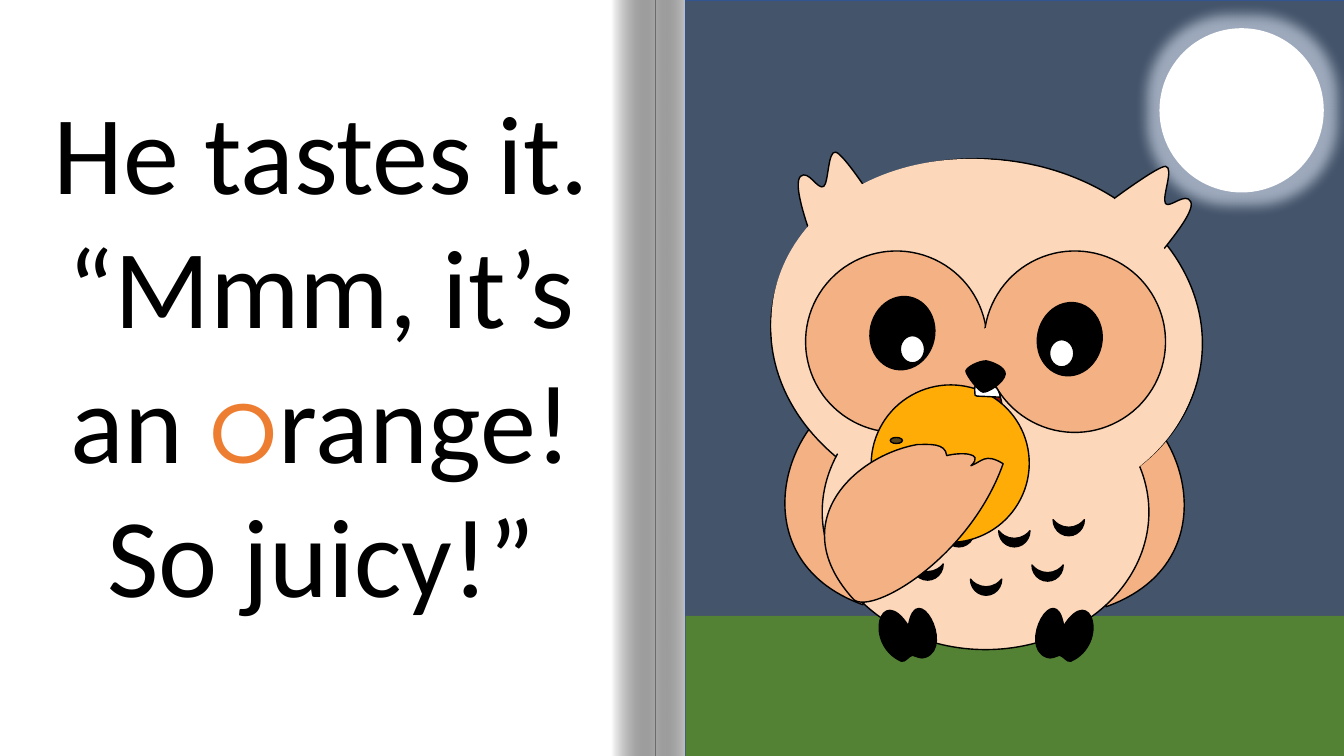
from collections import namedtuple
from dataclasses import dataclass

from lxml.etree import SubElement
from pptx import Presentation
from pptx.dml.color import RGBColor
from pptx.enum.shapes import MSO_SHAPE
from pptx.enum.text import MSO_AUTO_SIZE, PP_ALIGN
from pptx.oxml.ns import qn
from pptx.util import Inches, Pt

Box = namedtuple("Box", "left top width height")


@dataclass(frozen=True)
class Theme:
    paper: str = "FFFFFF"
    ink: str = "000000"
    letter: str = "ED7D31"
    sky: str = "44546A"
    sky_edge: str = "325491"
    glow: str = "DAE3F3"
    grass: str = "548235"
    feather: str = "FCD7BA"
    wing: str = "F4B183"
    mouth: str = "8E1100"
    tongue: str = "DD2E35"
    orange: str = "FFAC06"
    stem: str = "574519"
    story_font: str = "Calibri"
    letter_font: str = "Montserrat"
    story_size: int = 80
    outline: int = 1


THEME = Theme()

# Owl outlines, in inches from the owl's corner: a start point, then
# segments of one point (straight) or three points (curved).
BACK_WING = [(1.56, 5), (1.56, 2.87), (0.78, 3.06, 0.3, 4.55, 1.56, 5)]
FOOT = [(2.18, 5.52), (2.47, 5.41, 2.09, 4.72, 2.01, 5.21),
        (1.73, 4.77, 1.56, 5.39, 1.94, 5.56), (1.98, 5.57, 2.01, 5.51, 2.05, 5.5),
        (2.09, 5.51, 2.13, 5.54, 2.18, 5.52)]
LEFT_EAR = [(1.05, 1.36), (1.01, 1.24, 0.86, 0.83, 0.94, 0.75),
            (1.02, 0.68, 1.11, 0.89, 1.17, 0.85), (1.22, 0.81, 1.21, 0.49, 1.29, 0.51),
            (1.37, 0.53, 1.66, 0.98, 1.66, 0.98)]
RIGHT_EAR = [(4.49, 1.54), (4.57, 1.43, 4.86, 1.1, 4.81, 1),
             (4.76, 0.9, 4.6, 1.07, 4.56, 1.02), (4.52, 0.96, 4.65, 0.66, 4.56, 0.65),
             (4.48, 0.65, 4.05, 0.97, 4.05, 0.97)]
MOUTH = [(2.92, 2.93), (2.92, 2.91, 2.89, 2.86, 2.87, 2.86),
         (2.85, 2.86, 2.81, 2.85, 2.78, 2.85), (2.76, 2.85, 2.73, 2.84, 2.71, 2.84),
         (2.69, 2.84, 2.7, 2.89, 2.7, 2.91), (2.7, 2.93, 2.73, 2.93, 2.73, 2.95),
         (2.74, 2.97, 2.75, 3.01, 2.75, 3.04), (2.75, 3.06, 2.74, 3.09, 2.73, 3.11),
         (2.73, 3.12, 2.72, 3.14, 2.71, 3.14), (2.7, 3.15, 2.67, 3.16, 2.69, 3.17),
         (2.75, 3.19, 2.78, 3.21, 2.81, 3.25), (2.84, 3.26, 2.87, 3.26, 2.89, 3.24),
         (2.91, 3.21, 2.93, 3.16, 2.94, 3.12), (2.94, 3.02, 2.94, 3, 2.92, 2.93)]
TONGUE = [(2.77, 3), (2.76, 3, 2.76, 3, 2.75, 3.01), (2.74, 3.01), (2.74, 3.02),
          (2.74, 3.02, 2.75, 3.03, 2.75, 3.04), (2.75, 3.06, 2.74, 3.09, 2.73, 3.11),
          (2.72, 3.12, 2.72, 3.14, 2.71, 3.14), (2.69, 3.15, 2.66, 3.16, 2.69, 3.17),
          (2.75, 3.19, 2.78, 3.21, 2.8, 3.25), (2.84, 3.26, 2.87, 3.26, 2.89, 3.24),
          (2.91, 3.21, 2.93, 3.16, 2.94, 3.12), (2.94, 3.11, 2.94, 3.09, 2.94, 3.08),
          (2.94, 3.06), (2.93, 3.05), (2.91, 3.02, 2.88, 3.01, 2.83, 3.04),
          (2.81, 3.01, 2.79, 3, 2.77, 3)]
UPPER_LIP = [(2.65, 3.15), (2.65, 3.15, 2.66, 3.16, 2.67, 3.16), (2.68, 3.16),
             (2.67, 3.16), (2.67, 3.15, 2.66, 3.15, 2.66, 3.15), (2.65, 3.15)]
LOWER_LIP = [(2.7, 3.21), (2.69, 3.21, 2.71, 3.23, 2.74, 3.24), (2.76, 3.25),
             (2.74, 3.24), (2.73, 3.23, 2.72, 3.22, 2.71, 3.22), (2.7, 3.21)]
FRONT_WING = [(1.47, 4.95), (0.77, 4.19, 1.47, 3.52, 2.1, 3.41),
              (2.21, 3.41, 2.38, 3.39, 2.39, 3.52), (2.5, 3.49, 2.78, 3.48, 2.63, 3.62),
              (2.74, 3.58, 2.77, 3.49, 2.95, 3.6), (2.62, 4.53, 1.66, 5.1, 1.47, 4.95)]
TEETH = [(2.68, 2.83), (2.66, 2.83, 2.67, 2.89, 2.67, 2.91), (2.67, 2.92),
         (2.69, 2.93), (2.91, 2.94), (2.92, 2.94), (2.92, 2.93),
         (2.92, 2.91, 2.89, 2.84, 2.87, 2.84), (2.84, 2.84, 2.79, 2.83, 2.76, 2.83),
         (2.74, 2.83, 2.71, 2.83, 2.68, 2.83)]
BEAK = [(2.58, 2.68), (2.59, 2.64, 2.71, 2.58, 2.78, 2.58),
        (2.84, 2.59, 2.97, 2.64, 2.97, 2.71), (2.96, 2.8, 2.79, 2.9, 2.75, 2.89),
        (2.71, 2.89, 2.58, 2.72, 2.58, 2.68)]
BREAST_FEATHERS = [(2.98, 4.19), (2.43, 4.19), (1.89, 4.06), (2.11, 3.68), (2.7, 3.8),
                   (3.31, 3.68), (3.52, 4.08), (3.31, 4.53), (2.7, 4.67), (2.12, 4.52)]


def paint(shape, fill, line=None):
    shape.shadow.inherit = False
    shape.fill.solid()
    shape.fill.fore_color.rgb = RGBColor.from_string(fill)
    if line:
        shape.line.color.rgb = RGBColor.from_string(line)
        shape.line.width = Pt(THEME.outline)
    else:
        shape.line.fill.background()
    return shape


def add_preset(parent, kind, box, fill, line=None, turn=0):
    shape = parent.add_shape(kind, *(Inches(length) for length in box))
    shape.rotation = turn
    return paint(shape, fill, line)


def extent(outline):
    """Return the lowest and highest corner that the curves reach."""
    reached, start = [outline[0]], outline[0]
    for segment in outline[1:]:
        c1, c2, end = segment[:2], segment[-4:-2] or segment, segment[-2:]
        for t in (step / 20 for step in range(1, 21) if len(segment) == 6):
            u = 1 - t
            reached.append([u**3 * a + 3 * u * u * t * b + 3 * u * t * t * c + t**3 * d
                            for a, b, c, d in zip(start, c1, c2, end)])
        reached.append(end)
        start = end
    return [[pick(axis) for axis in zip(*reached)] for pick in (min, max)]


def add_outline(parent, corner, outline, fill, closed=True):
    """Draw straight and cubic segments as one freeform."""
    (x0, y0), (x1, y1) = extent(outline)
    frame = [(Inches(corner[0] + x), Inches(corner[1] + y))
             for x, y in ((x0, y0), (x1, y0), (x1, y1))]
    builder = parent.build_freeform(*frame[0])
    builder.add_line_segments(frame[1:])
    shape = builder.convert_to_shape()
    route = next(shape._element.iter(qn("a:path")))
    for step in list(route):
        route.remove(step)
    for i, segment in enumerate(outline):
        tag = "a:moveTo" if i == 0 else "a:lnTo" if len(segment) == 2 else "a:cubicBezTo"
        step = SubElement(route, qn(tag))
        for x, y in zip(segment[::2], segment[1::2]):
            SubElement(step, qn("a:pt"), x=str(Inches(x - x0)), y=str(Inches(y - y0)))
    if closed:
        SubElement(route, qn("a:close"))
    return paint(shape, fill, THEME.ink)


def mirror(outline, axis, drop=0):
    return [tuple(value + drop if i % 2 else 2 * axis - value
                  for i, value in enumerate(segment)) for segment in outline]


def add_alpha(color, percent):
    SubElement(color, qn("a:alpha")).set("val", str(percent * 1000))


def draw_book(slide, box):
    book = slide.shapes.add_group_shape().shapes
    add_preset(book, MSO_SHAPE.RECTANGLE, box, THEME.paper)
    fold, strip = box.left + 6.51, 0.43
    for left, angle in ((fold, 180), (fold - strip, 0)):
        crease = add_preset(book, MSO_SHAPE.RECTANGLE,
                            Box(left, box.top, strip, box.height), THEME.paper)
        crease.fill.gradient()
        crease.fill.gradient_angle = angle
        for stop, color in zip(crease.fill.gradient_stops, (THEME.paper, THEME.ink)):
            stop.color.rgb = RGBColor.from_string(color)
        add_alpha(list(crease._element.iter(qn("a:srgbClr")))[-1], 34)


def write_story(slide, box):
    frame = slide.shapes.add_textbox(*(Inches(length) for length in box)).text_frame
    frame.word_wrap = True
    frame.auto_size = MSO_AUTO_SIZE.SHAPE_TO_FIT_TEXT
    paragraph = frame.paragraphs[0]
    paragraph.alignment = PP_ALIGN.CENTER
    for words, font, color in (
            ("He tastes it. “Mmm, it’s an ", THEME.story_font, THEME.ink),
            ("o", THEME.letter_font, THEME.letter),
            ("range! So juicy!”", THEME.story_font, THEME.ink)):
        run = paragraph.add_run()
        run.text = words
        run.font.name = font
        run.font.size = Pt(THEME.story_size)
        run.font.color.rgb = RGBColor.from_string(color)


def draw_night(slide, box):
    add_preset(slide.shapes, MSO_SHAPE.RECTANGLE, box, THEME.sky, THEME.sky_edge)
    moon = add_preset(slide.shapes, MSO_SHAPE.FLOWCHART_CONNECTOR,
                      Box(box.left + 4.7, box.top + 0.28, 1.63, 1.63), THEME.paper)
    effects = moon._element.spPr.find(qn("a:effectLst"))
    glow = SubElement(effects, qn("a:glow"), rad=str(Pt(18)))
    add_alpha(SubElement(glow, qn("a:srgbClr"), val=THEME.glow), 60)
    add_preset(slide.shapes, MSO_SHAPE.RECTANGLE,
               Box(box.left, box.top + 6.11, box.width + 0.02, 1.39), THEME.grass)


def draw_owl(slide, corner):
    owl = slide.shapes.add_group_shape().shapes

    def oval(left, top, width, height, fill, line=THEME.ink, turn=0):
        add_preset(owl, MSO_SHAPE.OVAL,
                   Box(corner[0] + left, corner[1] + top, width, height), fill, line, turn)

    def outline(points, fill, closed=True):
        add_outline(owl, corner, points, fill, closed)

    outline(BACK_WING, THEME.wing)
    outline(mirror(BACK_WING, 2.765, 0.02), THEME.wing)
    oval(0.64, 0.58, 4.29, 3.5, THEME.feather, turn=6.3)
    oval(1.41, 2.46, 2.73, 3.24, THEME.feather, turn=90)
    outline(mirror(FOOT, 2.78), THEME.ink)
    for left, top in BREAST_FEATHERS:
        feather = add_preset(owl, MSO_SHAPE.MOON,
                             Box(corner[0] + left, corner[1] + top, 0.16, 0.31),
                             THEME.ink, THEME.ink, 270)
        feather.adjustments[0] = 0.524
    outline(LEFT_EAR, THEME.feather, closed=False)
    outline(FOOT, THEME.ink)
    outline(RIGHT_EAR, THEME.feather, closed=False)
    oval(0.64, 0.59, 4.27, 3.47, THEME.feather, None, 10)
    for left, turn in ((0.99, 21.1), (2.76, 16.7)):
        oval(left, 1.49, 1.8, 1.8, THEME.wing, turn=turn)
    for eye, glint in (((1.63, 1.94), (1.93, 2.33)), ((3.29, 2), (3.41, 2.37))):
        oval(*eye, 0.64, 0.73, THEME.ink, turn=12)
        oval(*glint, 0.24, 0.27, THEME.paper)
    oval(2.67, 2.24, 0.24, 0.42, THEME.wing, None, 10)
    outline(UPPER_LIP, THEME.ink)
    outline(MOUTH, THEME.mouth)
    outline(TONGUE, THEME.tongue)
    outline(LOWER_LIP, THEME.ink)
    oval(1.64, 2.82, 1.57, 1.56, THEME.orange, turn=330.4)
    oval(1.83, 3.34, 0.12, 0.06, THEME.stem)
    outline(FRONT_WING, THEME.wing)
    outline(TEETH, THEME.paper)
    outline(BEAK, THEME.ink)


def main():
    deck = Presentation()
    deck.slide_width, deck.slide_height = Inches(13.33), Inches(7.5)
    slide = deck.slides.add_slide(deck.slide_layouts[6])
    slide.background.fill.solid()
    slide.background.fill.fore_color.rgb = RGBColor.from_string(THEME.ink)
    night = Box(6.8, 0, 6.66, 7.75)
    draw_book(slide, Box(-0.01, 0, 13.47, 7.5))
    write_story(slide, Box(-0.06, 0.77, 6.5, 5.49))
    draw_night(slide, night)
    draw_owl(slide, (night.left + 0.2, night.top + 1))
    deck.save("out.pptx")


if __name__ == "__main__":
    main()
